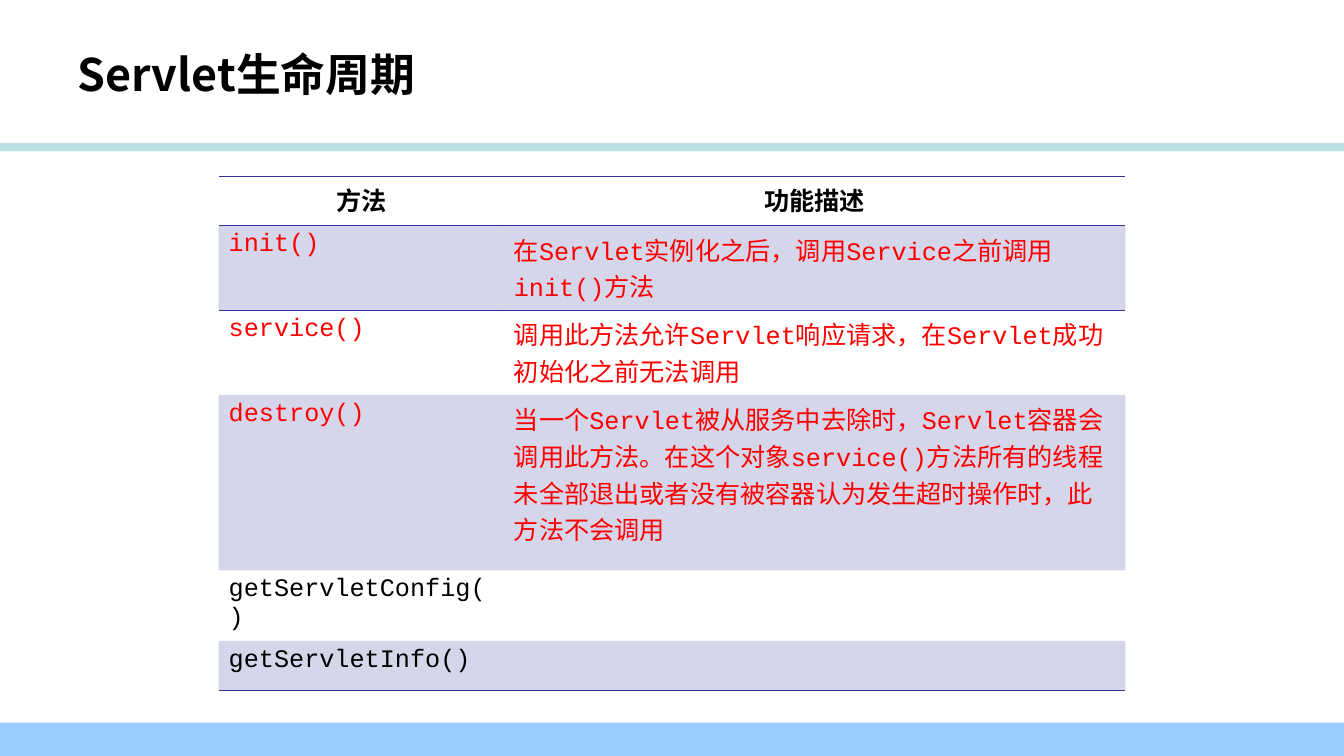
from lxml.etree import SubElement
from pptx import Presentation
from pptx.dml.color import RGBColor
from pptx.enum.shapes import MSO_SHAPE as Shape
from pptx.enum.text import MSO_ANCHOR as Anchor, PP_ALIGN as Align
from pptx.oxml import parse_xml
from pptx.oxml.ns import nsdecls, qn
from pptx.util import Inches, Pt

BLACK = RGBColor(0, 0, 0)
RED = RGBColor(0xFF, 0, 0)
INDIGO = RGBColor(0x33, 0x33, 0x99)
TEAL = RGBColor(0xBB, 0xE0, 0xE3)
SKY = RGBColor(0x99, 0xCC, 0xFF)
MONO, SANS = "Courier New", "Noto Sans CJK SC"
PLAIN = "{2D5ABB26-0587-4C30-8999-92F81FD0307C}"
WIDTH, HEIGHT = 13.34, 7.5

COLS = [2.83, 6.17]
HEIGHTS = [0.49, 0.84, 0.84, 1.74, 0.7, 0.49]
ROWS = [
    ("方法", "功能描述"),
    ("init()", "在Servlet实例化之后，调用Service之前调用init()方法"),
    ("service()", "调用此方法允许Servlet响应请求，在Servlet成功初始化之前无法调用"),
    ("destroy()", "当一个Servlet被从服务中去除时，Servlet容器会调用此方法。"
     "在这个对象service()方法所有的线程未全部退出或者没有被容器认为发生超时操作时，"
     "此方法不会调用"),
    ("getServletConfig()", ""),
    ("getServletInfo()", ""),
]


def style(para, size, face, color, bold):
    font = para.font
    font.size, font.name, font.bold = Pt(size), face, bold
    font.color.rgb = color
    east = SubElement(para._p.pPr.find(qn("a:defRPr")), qn("a:ea"))
    east.set("typeface", SANS)


def add_bar(slide, top, height, color):
    bar = slide.shapes.add_shape(
        Shape.RECTANGLE, 0, Inches(top), Inches(WIDTH), Inches(height))
    bar.shadow.inherit = False
    bar.fill.solid()
    bar.fill.fore_color.rgb = color
    bar.line.fill.background()


def add_title(slide, text, box):
    title = slide.shapes.title
    title.left, title.top, title.width, title.height = map(Inches, box)
    frame = title.text_frame
    frame.text = text
    frame.vertical_anchor = Anchor.MIDDLE
    para = frame.paragraphs[0]
    para.alignment = Align.LEFT
    style(para, 32, SANS, BLACK, True)


def rule(cell, sides):
    """Draw thin lines on the given sides, T before B."""
    props = cell._tc.get_or_add_tcPr()
    for spot, side in enumerate(sides):
        props.insert(spot, parse_xml(
            f'<a:ln{side} {nsdecls("a")} w="{Pt(0.45)}"><a:solidFill>'
            f'<a:srgbClr val="{INDIGO}"/></a:solidFill></a:ln{side}>'))


def tint(cell):
    cell.fill.solid()
    cell.fill.fore_color.rgb = INDIGO
    color = cell._tc.tcPr.find(".//" + qn("a:srgbClr"))
    SubElement(color, qn("a:alpha")).set("val", "20000")


def add_methods(slide, left, top):
    frame = slide.shapes.add_table(
        len(ROWS), len(COLS), Inches(left), Inches(top),
        Inches(sum(COLS)), Inches(sum(HEIGHTS)))
    table = frame.table
    table._tbl.tblPr.find(qn("a:tableStyleId")).text = PLAIN
    table.first_row = table.horz_banding = False
    for col, width in zip(table.columns, COLS):
        col.width = Inches(width)
    for r, (row, height) in enumerate(zip(table.rows, HEIGHTS)):
        row.height = Inches(height)
        head, last = r == 0, r == len(ROWS) - 1
        color = RED if 1 <= r <= 3 else BLACK
        for cell, text in zip(row.cells, ROWS[r]):
            cell.text = text
            para = cell.text_frame.paragraphs[0]
            para.alignment = Align.CENTER if head else Align.LEFT
            style(para, 18, MONO, color, head)
            if r % 2:
                tint(cell)
            else:
                cell.fill.background()
            rule(cell, "TB" if head else "T" if r == 1 else "B" if last else "")


def main():
    deck = Presentation()
    deck.slide_width, deck.slide_height = Inches(WIDTH), Inches(HEIGHT)
    slide = deck.slides.add_slide(deck.slide_layouts[5])
    add_bar(slide, 1.42, 0.08, TEAL)
    add_bar(slide, 7.17, 0.33, SKY)
    add_title(slide, "Servlet生命周期", (0.67, 0.3, 10.67, 0.87))
    add_methods(slide, (WIDTH - sum(COLS)) / 2, 1.75)
    deck.save("out.pptx")


if __name__ == "__main__":
    main()
